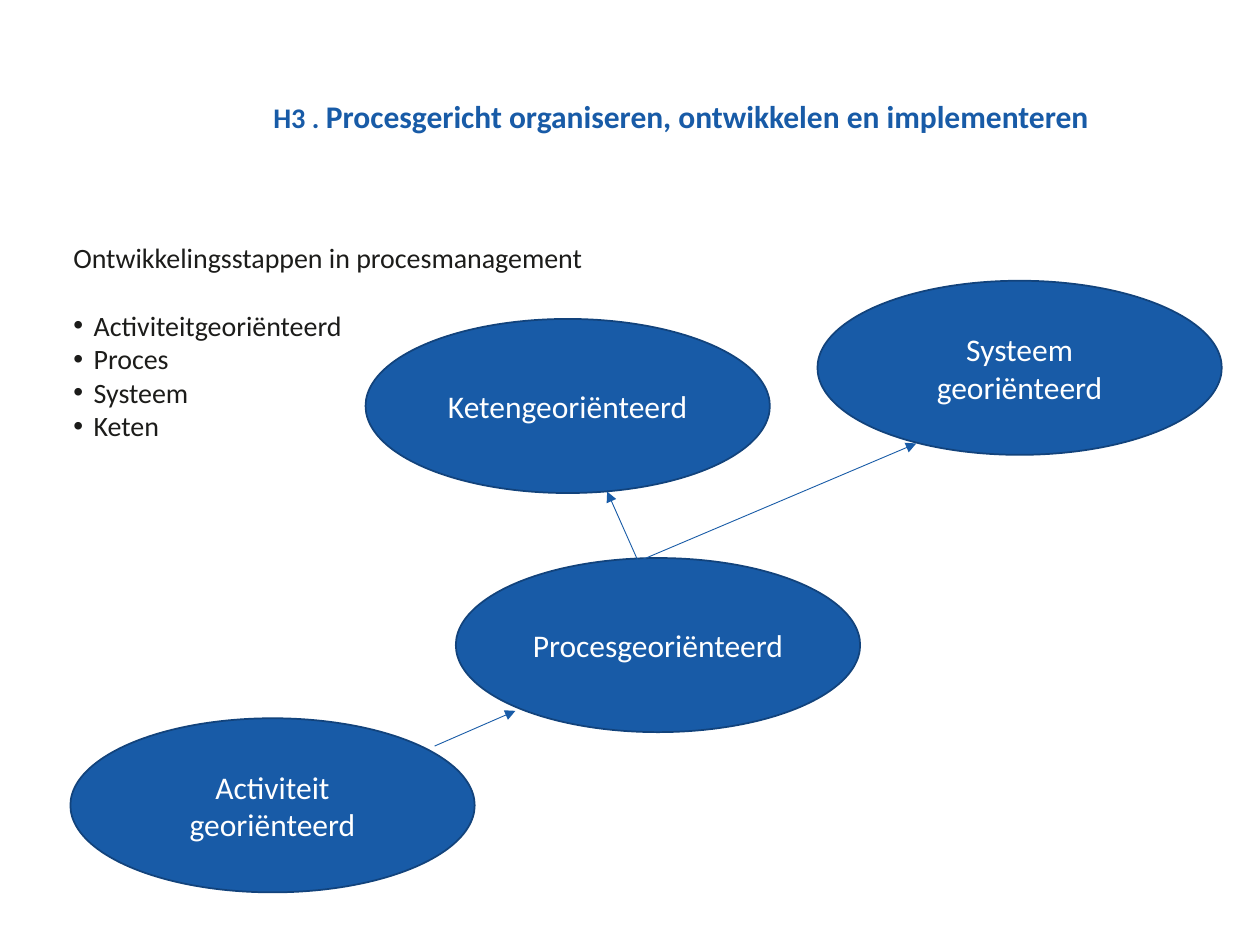
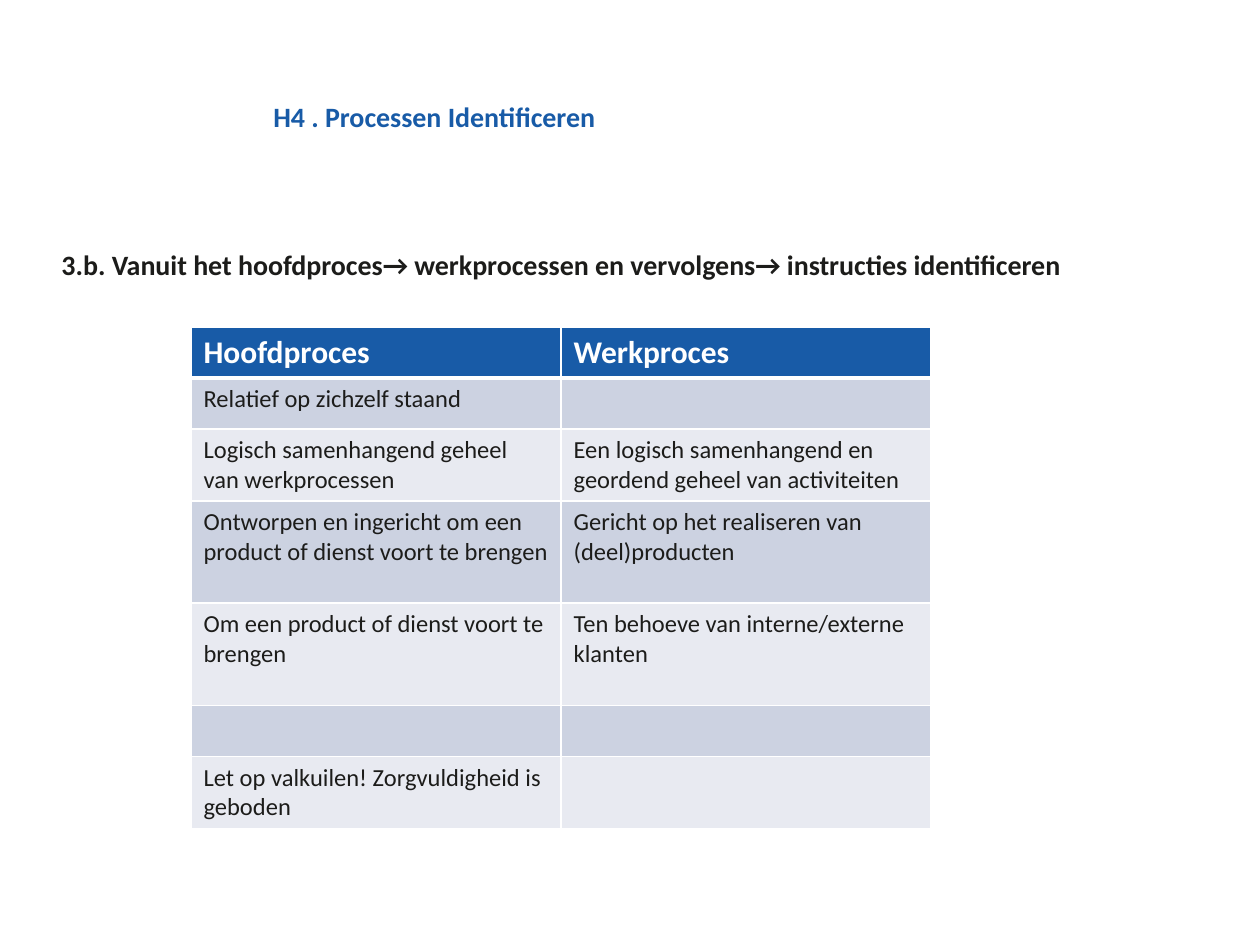
from dataclasses import dataclass

import lxml.etree
import pptx
import pptx.dml.color
import pptx.enum.shapes
import pptx.enum.text
import pptx.oxml.ns
import pptx.util

Cm = pptx.util.Cm
Pt = pptx.util.Pt
qn = pptx.oxml.ns.qn


@dataclass(frozen=True)
class Theme:
    font: str = "Calibri"
    blue: str = "185BA7"
    outline: str = "12437C"
    ink: str = "1C1C1A"
    white: str = "FFFFFF"
    bands: tuple = ("CCD2E1", "E8EAF1")
    large: float = 18
    chapter: float = 16.2
    body: float = 16
    cell: float = 14


def rgb(color):
    return pptx.dml.color.RGBColor.from_string(color)


def add_xml(parent, tag, **attributes):
    return lxml.etree.SubElement(parent, qn(tag), attributes)


class Deck:
    def __init__(self, theme):
        self.theme = theme
        self.presentation = pptx.Presentation()
        self.presentation.slide_width = Cm(25.4)
        self.presentation.slide_height = Cm(19.05)
        self.slide = None

    def new_slide(self):
        layout = self.presentation.slide_layouts[6]
        self.slide = self.presentation.slides.add_slide(layout)

    def style(self, font, size, color, bold=False):
        font.name = self.theme.font
        font.size = Pt(size)
        font.bold = bold
        font.color.rgb = rgb(color)

    def text_frame(self, left, top, width, height):
        box = self.slide.shapes.add_textbox(Cm(left), Cm(top), Cm(width), Cm(height))
        frame = box.text_frame
        frame.word_wrap = True
        frame.margin_left = frame.margin_right = 0
        frame.margin_top = frame.margin_bottom = 0
        return frame

    def title(self, *parts):
        frame = self.text_frame(5.51, 1.9, 17.88, 0.97)
        frame.vertical_anchor = pptx.enum.text.MSO_ANCHOR.MIDDLE
        paragraph = frame.paragraphs[0]
        paragraph.line_spacing = 0.9
        for text, size in parts:
            run = paragraph.add_run()
            run.text = text
            self.style(run.font, size, self.theme.blue, bold=True)

    def body(self, left, top, width, height, heading, bullets=(), bold=False):
        frame = self.text_frame(left, top, width, height)
        paragraph = frame.paragraphs[0]
        paragraph.text = heading
        self.style(paragraph.font, self.theme.body, self.theme.ink, bold)
        for index, text in enumerate(bullets):
            paragraph = frame.add_paragraph()
            paragraph.text = text
            properties = paragraph._p.get_or_add_pPr()
            properties.set("marL", str(Cm(0.41)))
            properties.set("indent", str(-Cm(0.41)))
            add_xml(properties, "a:buFont", typeface="Arial")
            add_xml(properties, "a:buChar", char="•")
            paragraph.space_before = Pt(19.5 if index == 0 else 0)
            self.style(paragraph.font, self.theme.body, self.theme.ink)

    def ellipse(self, left, top, text):
        shape = self.slide.shapes.add_shape(
            pptx.enum.shapes.MSO_SHAPE.OVAL, Cm(left), Cm(top), Cm(8.15), Cm(3.51))
        shape.shadow.inherit = False
        shape.fill.solid()
        shape.fill.fore_color.rgb = rgb(self.theme.blue)
        shape.line.color.rgb = rgb(self.theme.outline)
        shape.line.width = Pt(1)
        frame = shape.text_frame
        frame.word_wrap = True
        frame.vertical_anchor = pptx.enum.text.MSO_ANCHOR.MIDDLE
        paragraph = frame.paragraphs[0]
        paragraph.text = text
        paragraph.alignment = pptx.enum.text.PP_ALIGN.CENTER
        self.style(paragraph.font, self.theme.large, self.theme.white)

    def arrow(self, start, end):
        connector = self.slide.shapes.add_connector(
            pptx.enum.shapes.MSO_CONNECTOR.STRAIGHT,
            *(Cm(length) for length in (*start, *end)))
        connector.line.color.rgb = rgb(self.theme.blue)
        connector.line.width = Pt(0.5)
        add_xml(connector.line._get_or_add_ln(), "a:tailEnd", type="triangle")
        add_xml(connector._element.spPr, "a:effectLst")

    def borders(self, cell, top, bottom):
        properties = cell._tc.get_or_add_tcPr()
        widths = {"a:lnL": 1, "a:lnR": 1, "a:lnT": top, "a:lnB": bottom}
        for tag, width in widths.items():
            line = add_xml(properties, tag, w=str(Pt(width)))
            add_xml(add_xml(line, "a:solidFill"), "a:srgbClr", val=self.theme.white)

    def table(self, left, top, column_width, row_heights, rows):
        theme = self.theme
        columns = len(rows[0])
        table = self.slide.shapes.add_table(
            len(rows), columns, Cm(left), Cm(top),
            Cm(column_width * columns), Cm(sum(row_heights))).table
        for column in table.columns:
            column.width = Cm(column_width)
        for row_index, (texts, height) in enumerate(zip(rows, row_heights)):
            table.rows[row_index].height = Cm(height)
            header = row_index == 0
            fill = theme.blue if header else theme.bands[(row_index - 1) % 2]
            size, color = (theme.large, theme.white) if header else (theme.cell, theme.ink)
            for column_index, text in enumerate(texts):
                cell = table.cell(row_index, column_index)
                self.borders(cell, 3 if row_index == 1 else 1, 3 if header else 1)
                cell.fill.solid()
                cell.fill.fore_color.rgb = rgb(fill)
                paragraph = cell.text_frame.paragraphs[0]
                paragraph.text = text
                self.style(paragraph.font, size, color, bold=header)


def development_steps(deck):
    deck.new_slide()
    deck.title(("H3 . ", deck.theme.chapter),
               ("Procesgericht organiseren, ontwikkelen en implementeren", deck.theme.large))
    deck.body(1.48, 4.85, 21.9, 12,
              "Ontwikkelingsstappen in procesmanagement",
              ("Activiteitgeoriënteerd", "Proces", "Systeem", "Keten"))
    deck.ellipse(7.37, 6.43, "Ketengeoriënteerd")
    deck.ellipse(1.42, 14.48, "Activiteit georiënteerd")
    deck.ellipse(9.19, 11.25, "Procesgeoriënteerd")
    deck.ellipse(16.48, 5.66, "Systeem georiënteerd")
    deck.arrow((8.76, 15.04), (10.39, 14.33))
    deck.arrow((12.88, 11.35), (12.24, 9.91))
    deck.arrow((12.95, 11.28), (18.47, 8.94))


def process_identification(deck):
    deck.new_slide()
    deck.title(("H4 . Processen Identificeren", deck.theme.body))
    deck.body(1.24, 5, 22.15, 13.44,
              "3.b. Vanuit het hoofdproces→ werkprocessen en vervolgens→ "
              "instructies identificeren", bold=True)
    deck.table(3.85, 6.6, 7.46, (1.02, 1.03, 1.45, 2.06, 2.06, 1.03, 1.45), (
        ("Hoofdproces", "Werkproces"),
        ("Relatief op zichzelf staand", ""),
        ("Logisch samenhangend geheel van werkprocessen",
         "Een logisch samenhangend en geordend geheel van activiteiten"),
        ("Ontworpen en ingericht om een product of dienst voort te brengen",
         "Gericht op het realiseren van (deel)producten"),
        ("Om een product of dienst voort te brengen",
         "Ten behoeve van interne/externe klanten"),
        ("", ""),
        ("Let op valkuilen! Zorgvuldigheid is geboden", ""),
    ))


def main():
    deck = Deck(Theme())
    development_steps(deck)
    process_identification(deck)
    deck.presentation.save("out.pptx")


if __name__ == "__main__":
    main()
